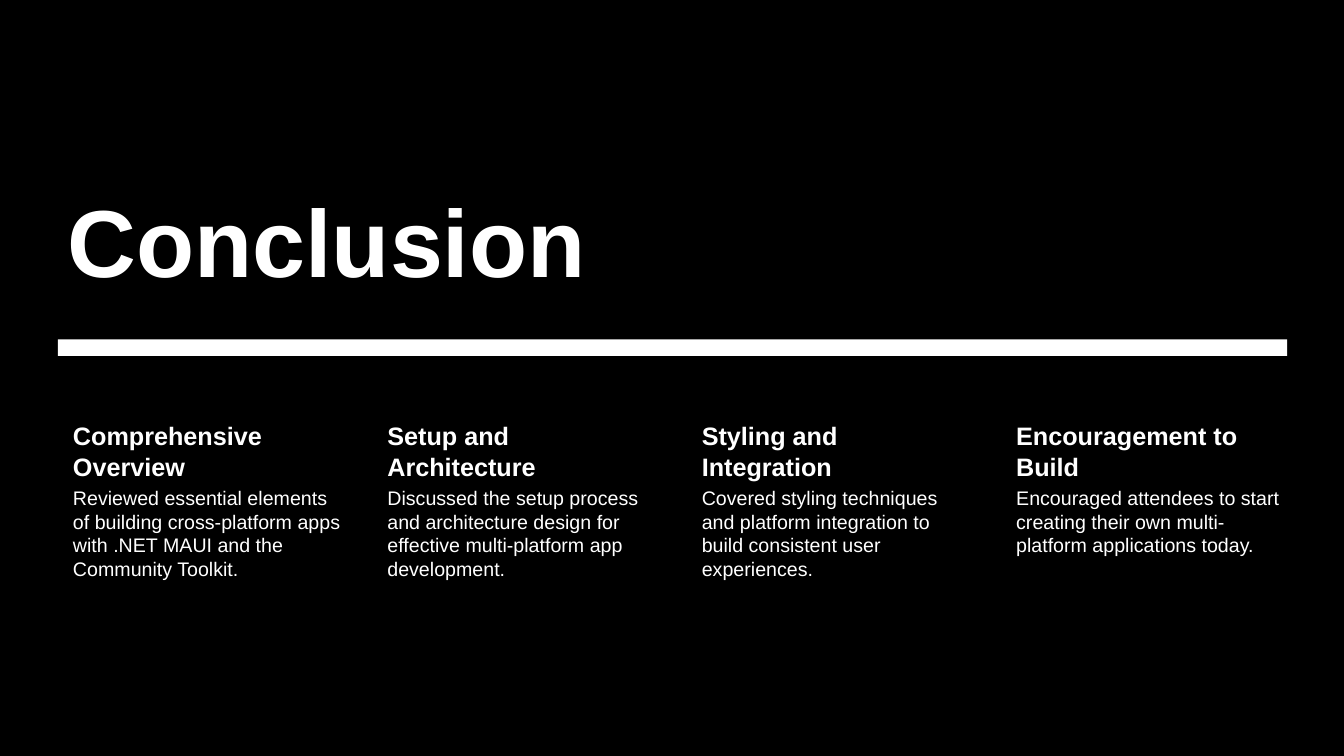
from pptx import Presentation
from pptx.dml.color import RGBColor
from pptx.enum.shapes import MSO_SHAPE
from pptx.enum.text import MSO_ANCHOR
from pptx.util import Cm, Pt

SLIDE_WIDTH, SLIDE_HEIGHT = 33.87, 19.05
LEFT, WIDTH = 1.46, 30.98
COLUMN_WIDTH, COLUMN_COUNT = 7.21, 4
COLUMN_STEP = (WIDTH - COLUMN_WIDTH) / (COLUMN_COUNT - 1)


def color(hex_string):
    return RGBColor.from_string(hex_string)


def add_text(x, y, width, height, text, size, bold, inset_left, inset, anchor=MSO_ANCHOR.TOP):
    box = slide.shapes.add_textbox(Cm(x), Cm(y), Cm(width), Cm(height))
    frame = box.text_frame
    frame.word_wrap = True
    frame.vertical_anchor = anchor
    frame.margin_left = Cm(inset_left)
    frame.margin_top = frame.margin_right = frame.margin_bottom = Cm(inset)
    run = frame.paragraphs[0].add_run()
    run.text = text
    run.font.name = "Arial"
    run.font.size = Pt(size)
    run.font.bold = bold
    run.font.color.rgb = color("FFFFFF")


presentation = Presentation()
presentation.slide_width = Cm(SLIDE_WIDTH)
presentation.slide_height = Cm(SLIDE_HEIGHT)
slide = presentation.slides.add_slide(presentation.slide_layouts[6])
slide.background.fill.solid()
slide.background.fill.fore_color.rgb = color("000000")

# Black backdrop and the white bar below the title
for x, y, width, height, fill in (
    (0, 0, SLIDE_WIDTH, SLIDE_HEIGHT, "000000"),
    (LEFT, 8.55, WIDTH, 0.42, "FFFFFF"),
):
    band = slide.shapes.add_shape(MSO_SHAPE.RECTANGLE, Cm(x), Cm(y), Cm(width), Cm(height))
    band.shadow.inherit = False
    band.fill.solid()
    band.fill.fore_color.rgb = color(fill)
    band.line.fill.background()

# Title
add_text(LEFT, 3.7, WIDTH, 3.91, "Conclusion", 68, True, 0.25, 0.13, MSO_ANCHOR.BOTTOM)

# Four takeaways in equal columns
takeaways = [
    ("Comprehensive Overview",
     "Reviewed essential elements of building cross-platform apps with .NET MAUI "
     "and the Community Toolkit."),
    ("Setup and Architecture",
     "Discussed the setup process and architecture design for effective "
     "multi-platform app development."),
    ("Styling and Integration",
     "Covered styling techniques and platform integration to build consistent "
     "user experiences."),
    ("Encouragement to Build",
     "Encouraged attendees to start creating their own multi-platform "
     "applications today."),
]
for column, (heading, summary) in enumerate(takeaways):
    x = LEFT + column * COLUMN_STEP
    add_text(x, 10.52, COLUMN_WIDTH, 1.68, heading, 18, True, 0.38, 0.08)
    add_text(x, 12.2, COLUMN_WIDTH, 5.18, summary, 14, False, 0.38, 0.05)

presentation.save("out.pptx")
